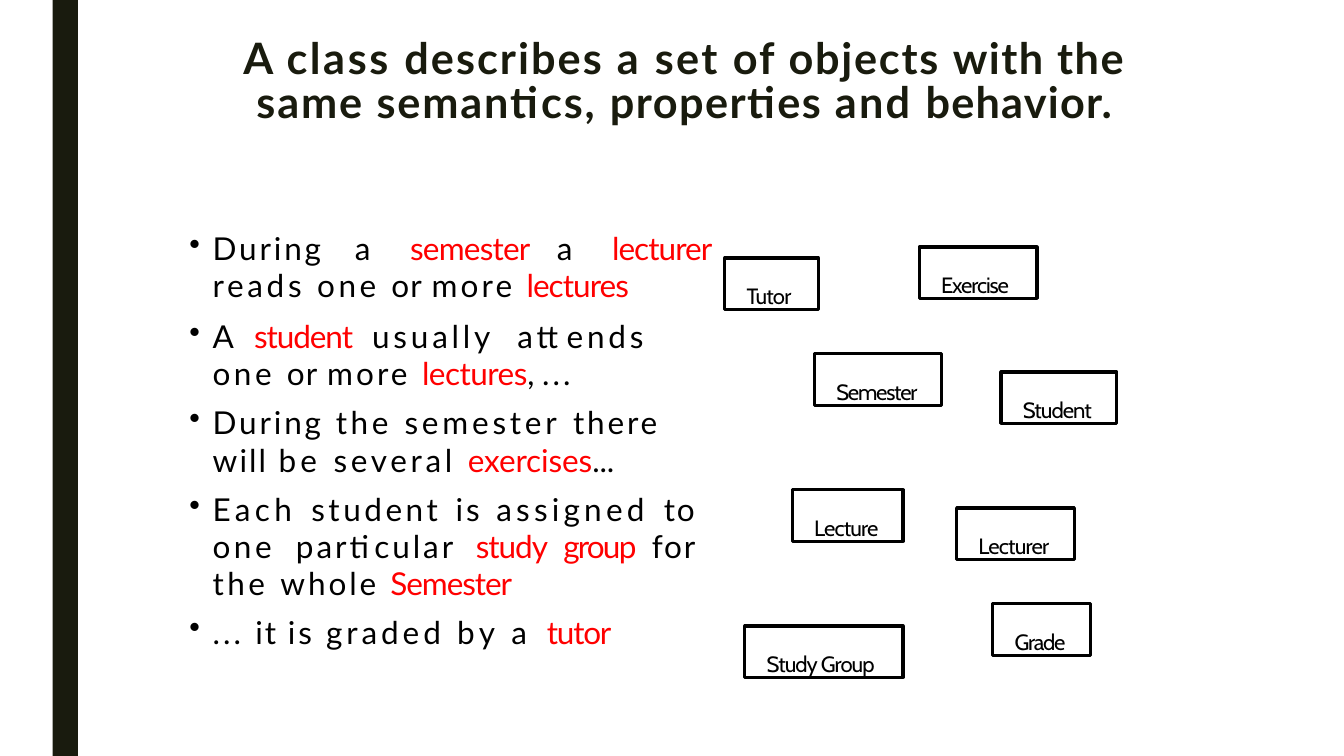
from lxml import etree
from pptx import Presentation
from pptx.dml.color import RGBColor
from pptx.enum import shapes, text
from pptx.oxml import ns
from pptx.util import Pt

THEME = {
    "dark": "191B0E", "ink": "000000", "red": "FF0000", "paper": "FFFFFF",
    "head": ("Lato", 30.9), "body": ("Lato", 22.5), "label": ("Cabin", 15.8),
}

# Runs are (wording, letter spacing in points[, colour])
TITLE = [
    ("A ", 1.5), ("class ", 1.9), ("describes ", 1.5), ("a ", 2), ("set ", 1.7),
    ("of ", 1.5), ("objects ", 1.3), ("with ", 1.1), ("the ", 1.2),
    ("same semantics, ", 1.4), ("properties ", 1.1), ("and ", 1.7),
    ("behavior.", 0.9),
]

# Bullets are (line height, space before, right margin, runs)
BULLETS = [
    (26.9, 0, 0, [
        ("During ", 2), ("a ", 4.2), ("semester ", -0.6, "red"), ("a ", 4.2),
        ("lecturer ", -0.7, "red"), ("reads ", 2.6), ("one ", 2.5),
        ("or ", 0.8), ("more ", 2.2), ("lectures", -0.7, "red")]),
    (26.7, 9.3, 45, [
        ("A ", 0.3), ("student ", -0.8, "red"), ("usually attends ", 2.7),
        ("one ", 2.5), ("or ", 0.8), ("more ", 2.2),
        ("lectures", -0.4, "red"), (", ", -0.4), ("...", 2.2)]),
    (26.7, 8.4, 36, [
        ("During ", 2), ("the ", 2.5), ("semester ", 2.7), ("there ", 2),
        ("will ", 1.5), ("be ", 3), ("several ", 2.6),
        ("exercises", -0.1, "red"), ("...", -0.1)]),
    (26.7, 8.4, 10, [
        ("Each ", 3.1), ("student ", 2.5), ("is ", 2.1), ("assigned ", 3),
        ("to ", 1.3), ("one ", 2.5), ("particular ", 2.1),
        ("study ", -0.8, "red"), ("group ", -1.3, "red"), ("for ", 1.3),
        ("the ", 2.5), ("whole ", 2.1), ("Semester", -0.8, "red")]),
    (None, 7.3, 0, [
        ("... ", 2.2), ("it ", 1.3), ("is ", 2.1), ("graded ", 2.8),
        ("by ", 3.2), ("a ", 4.2), ("tutor", -0.9, "red")]),
]

# Classes are (name, left, top, width, letter spacing)
CLASSES = [
    ("Semester", 581.8, 252.7, 90.7, -0.9),
    ("Lecturer", 683.3, 362.9, 84.2, -0.6),
    ("Lecture", 565.9, 349.9, 79.2, -0.6),
    ("Student", 715, 265.7, 82.8, -0.7),
    ("Exercise", 656.6, 176.4, 84.2, -0.8),
    ("Tutor", 517.7, 184.3, 67, -0.6),
    ("Study Group", 532.1, 447.1, 113, -0.7),
    ("Grade", 709.2, 431.3, 69.8, -0.9),
]
HIGH = 36.7
INDENT = 15.6
HANG = 18.7, -16.6


def tint(name):
    return RGBColor.from_string(THEME[name])


def setup(frame, top):
    vals = {"margin_left": 0, "margin_right": 0, "margin_bottom": 0,
            "margin_top": Pt(top), "word_wrap": True,
            "auto_size": text.MSO_AUTO_SIZE.NONE,
            "vertical_anchor": text.MSO_ANCHOR.TOP}
    for key, val in vals.items():
        setattr(frame, key, val)
    return frame


def write(para, runs, style, hue="ink", bold=False):
    face, size = THEME[style]
    for words, gap, *own in runs:
        run = para.add_run()
        run.text = words
        vals = {"name": face, "size": Pt(size), "bold": bold}
        for key, val in vals.items():
            setattr(run.font, key, val)
        run.font.color.rgb = tint(own[0] if own else hue)
        run._r.get_or_add_rPr().set("spc", str(round(gap * 100)))


def indent(para, left, first=0, right=0):
    props = para._p.get_or_add_pPr()
    for key, val in {"marL": left, "marR": right, "indent": first}.items():
        props.set(key, str(int(Pt(val))))
    return props


def block(slide, place, fill, edge=None):
    """Add a plain rectangle, outlined when an edge colour is given."""
    box = slide.shapes.add_shape(shapes.MSO_SHAPE.RECTANGLE, *map(Pt, place))
    box.shadow.inherit = False
    box.fill.solid()
    box.fill.fore_color.rgb = tint(fill)
    if edge:
        box.line.color.rgb = tint(edge)
        box.line.width = Pt(2.25)
    else:
        box.line.fill.background()
    return box


def head(slide):
    box = slide.shapes.add_textbox(*map(Pt, (162.7, 25.9, 652.3, 65.5)))
    para = setup(box.text_frame, 2.9).paragraphs[0]
    para.alignment = text.PP_ALIGN.CENTER
    para.line_spacing = Pt(30.9)
    write(para, TITLE, "head", "dark", True)


def body(slide):
    box = slide.shapes.add_textbox(*map(Pt, (133.2, 162.7, 374.4, 306)))
    frame = setup(box.text_frame, 0.7)
    for i, (line, before, right, runs) in enumerate(BULLETS):
        para = frame.add_paragraph() if i else frame.paragraphs[0]
        para.alignment = text.PP_ALIGN.JUSTIFY
        if line:
            para.line_spacing = Pt(line)
        if before:
            para.space_before = Pt(before)
        props = indent(para, *HANG, right)
        etree.SubElement(props, ns.qn("a:buChar")).set("char", "•")
        write(para, runs, "body")


def label(slide, name, left, top, width, gap):
    box = block(slide, (left, top, width, HIGH), "paper", "ink")
    para = setup(box.text_frame, 17.3).paragraphs[0]
    para.alignment = text.PP_ALIGN.LEFT
    indent(para, INDENT)
    write(para, [(name, gap)], "label")


def main():
    deck = Presentation()
    deck.slide_width, deck.slide_height = Pt(960), Pt(540)
    slide = deck.slides.add_slide(deck.slide_layouts[6])
    block(slide, (37.6, 0, 18, 540), "dark")
    head(slide)
    body(slide)
    for item in CLASSES:
        label(slide, *item)
    deck.save("out.pptx")


if __name__ == "__main__":
    main()
